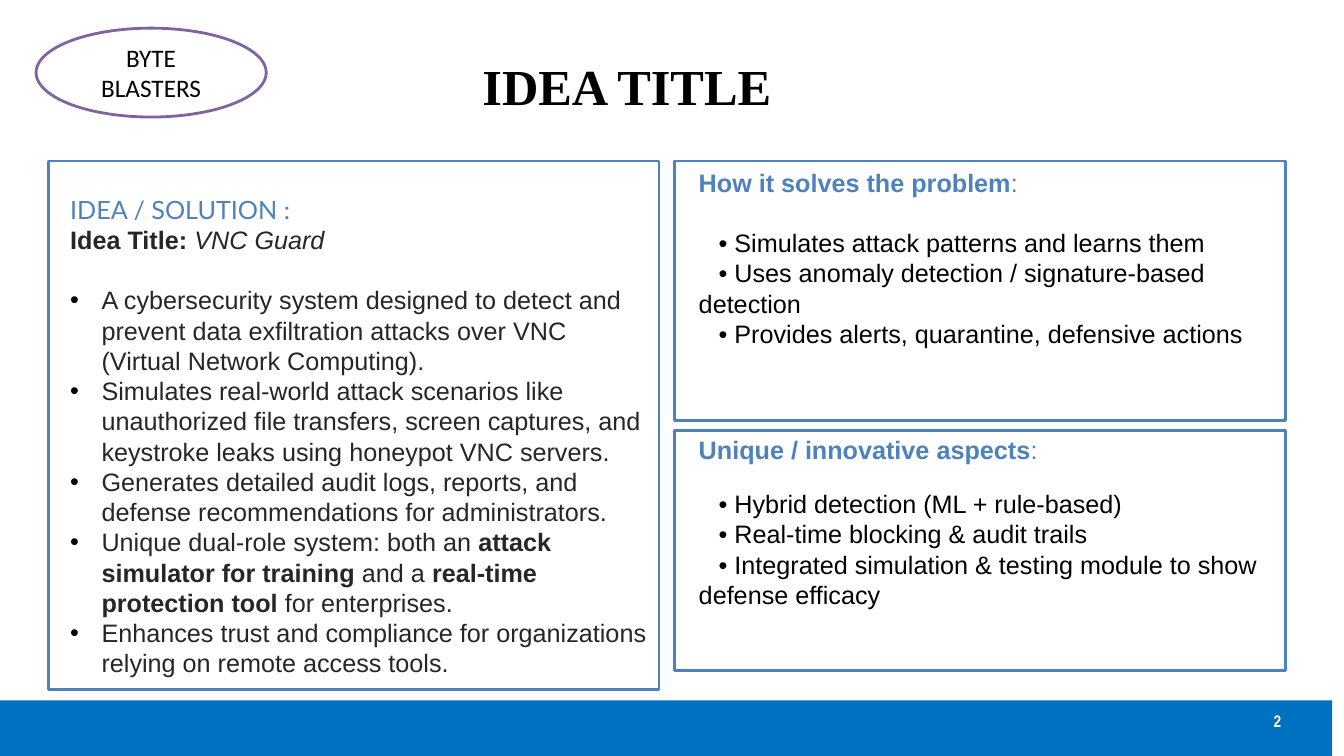
from lxml.etree import SubElement
from pptx import Presentation
from pptx.dml.color import RGBColor
from pptx.enum.shapes import MSO_SHAPE
from pptx.enum.text import MSO_ANCHOR, PP_ALIGN
from pptx.oxml.ns import qn
from pptx.util import Cm, Pt

WHITE = RGBColor(0xFF, 0xFF, 0xFF)
BLACK = RGBColor(0, 0, 0)
CHARCOAL = RGBColor(0x26, 0x26, 0x26)
BLUE = RGBColor(0x4F, 0x81, 0xBD)
FOOTER_BLUE = RGBColor(0x00, 0x70, 0xC0)
PURPLE = RGBColor(0x80, 0x64, 0xA2)

SOLUTION_POINTS = [
    ["A cybersecurity system designed to detect and prevent data exfiltration "
     "attacks over VNC (Virtual Network Computing)."],
    ["Simulates real-world attack scenarios like unauthorized file transfers, "
     "screen captures, and keystroke leaks using honeypot VNC servers."],
    ["Generates detailed audit logs, reports, and defense recommendations for "
     "administrators."],
    # Every second piece is bold
    ["Unique dual-role system: both an ", "attack simulator for training",
     " and a ", "real-time protection tool", " for enterprises."],
    ["Enhances trust and compliance for organizations relying on remote access "
     "tools."],
]
PROBLEM_POINTS = [
    "Simulates attack patterns and learns them",
    "Uses anomaly detection / signature-based detection",
    "Provides alerts, quarantine, defensive actions",
]
UNIQUE_POINTS = [
    "Hybrid detection (ML + rule-based)",
    "Real-time blocking & audit trails",
    "Integrated simulation & testing module to show defense efficacy",
]


def add_panel(slide, shape_type, box, fill=None, line=None):
    panel = slide.shapes.add_shape(shape_type, *box)
    panel.shadow.inherit = False
    if fill is None:
        panel.fill.background()
    else:
        panel.fill.solid()
        panel.fill.fore_color.rgb = fill
    if line is None:
        panel.line.fill.background()
    else:
        panel.line.color.rgb = line
        panel.line.width = Pt(2)
    return panel


def add_frame(slide, box, anchor=MSO_ANCHOR.TOP):
    frame = slide.shapes.add_textbox(*box).text_frame
    frame.word_wrap = True
    frame.vertical_anchor = anchor
    return frame


def style(paragraph, size=18, color=BLACK, name="Arial", bold=False):
    font = paragraph.font
    font.size, font.name, font.bold = Pt(size), name, bold
    font.color.rgb = color


def indent(paragraph, left, first_line):
    properties = paragraph._p.get_or_add_pPr()
    properties.set("marL", str(left))
    properties.set("indent", str(first_line))
    return properties


def add_bullet(paragraph):
    properties = indent(paragraph, Cm(0.79), Cm(-0.79))
    color = SubElement(properties, qn("a:buClr"))
    SubElement(color, qn("a:srgbClr")).set("val", str(BLACK))
    SubElement(properties, qn("a:buFont")).set("typeface", "Arial")
    SubElement(properties, qn("a:buChar")).set("char", "•")


def add_header(slide, left, top, width):
    title = add_frame(slide, (left, top + Cm(1.14), width, Cm(2)),
                      MSO_ANCHOR.MIDDLE).paragraphs[0]
    title.text = "IDEA TITLE"
    title.alignment = PP_ALIGN.CENTER
    style(title, 36, name="Times New Roman", bold=True)

    badge = add_panel(slide, MSO_SHAPE.OVAL,
                      (left + Cm(0.35), top + Cm(0.71), Cm(5.8), Cm(2.24)),
                      WHITE, PURPLE)
    team = badge.text_frame.paragraphs[0]
    team.text = "BYTE BLASTERS"
    team.alignment = PP_ALIGN.CENTER
    style(team, name="Calibri")


def add_footer(slide, left, top, width, height):
    add_panel(slide, MSO_SHAPE.RECTANGLE, (left, top, width, height), FOOTER_BLUE)
    number = add_frame(slide, (left + width - Cm(8.93), top, Cm(7.9), Cm(1.02)),
                       MSO_ANCHOR.MIDDLE).paragraphs[0]
    number.text = "2"
    number.alignment = PP_ALIGN.RIGHT
    style(number, 12, WHITE, "Arial Narrow", bold=True)


def add_solution(slide, left, top, width, height):
    add_panel(slide, MSO_SHAPE.RECTANGLE, (left, top, width, height), line=BLUE)
    frame = add_frame(slide, (left + Cm(0.3), top + Cm(0.71),
                              width - Cm(0.32), height - Cm(0.71)))
    heading = frame.paragraphs[0]
    heading.text = "IDEA / SOLUTION :"
    style(heading, color=BLUE, name="Lato")

    idea = frame.add_paragraph()
    style(idea, color=CHARCOAL)
    label = idea.add_run()
    label.text = "Idea Title: "
    label.font.bold = True
    product = idea.add_run()
    product.text = "VNC Guard"
    product.font.italic = True
    idea.space_after = Pt(21.5)

    for pieces in SOLUTION_POINTS:
        point = frame.add_paragraph()
        add_bullet(point)
        style(point, color=CHARCOAL)
        for position, piece in enumerate(pieces):
            run = point.add_run()
            run.text = piece
            run.font.bold = position % 2 == 1


def add_aspect(slide, box, text_top, heading_text, points, gap):
    left, top, width, height = box
    add_panel(slide, MSO_SHAPE.RECTANGLE, box, line=BLUE)
    frame = add_frame(slide, (left + Cm(0.36), top + text_top, width - Cm(0.08),
                              height - Cm(0.5)))
    heading = frame.paragraphs[0]
    style(heading, color=BLUE)
    for piece, bold in ((heading_text, True), (":", False)):
        run = heading.add_run()
        run.text = piece
        run.font.bold = bold
    heading.space_after = gap

    for text in points:
        point = frame.add_paragraph()
        point.text = "• " + text
        # Wrapped lines return to the left margin
        indent(point, 0, Cm(0.5))
        style(point)


def main():
    presentation = Presentation()
    presentation.slide_width, presentation.slide_height = Cm(33.87), Cm(19.05)
    slide = presentation.slides.add_slide(presentation.slide_layouts[6])

    panel_top, panel_width = Cm(4.06), Cm(15.39)
    right = Cm(17)
    add_footer(slide, Cm(-0.3), Cm(17.65), Cm(33.87), Cm(1.4))
    add_header(slide, Cm(0.56), Cm(0), Cm(30.48))
    add_solution(slide, Cm(1.22), panel_top, panel_width, Cm(13.31))
    add_aspect(slide, (right, panel_top, panel_width, Cm(6.53)), Cm(0.03),
               "How it solves the problem", PROBLEM_POINTS, Pt(21.5))
    add_aspect(slide, (right, Cm(10.85), panel_width, Cm(6.05)), Cm(-0.03),
               "Unique / innovative aspects", UNIQUE_POINTS, Pt(17))
    presentation.save("out.pptx")


if __name__ == "__main__":
    main()
